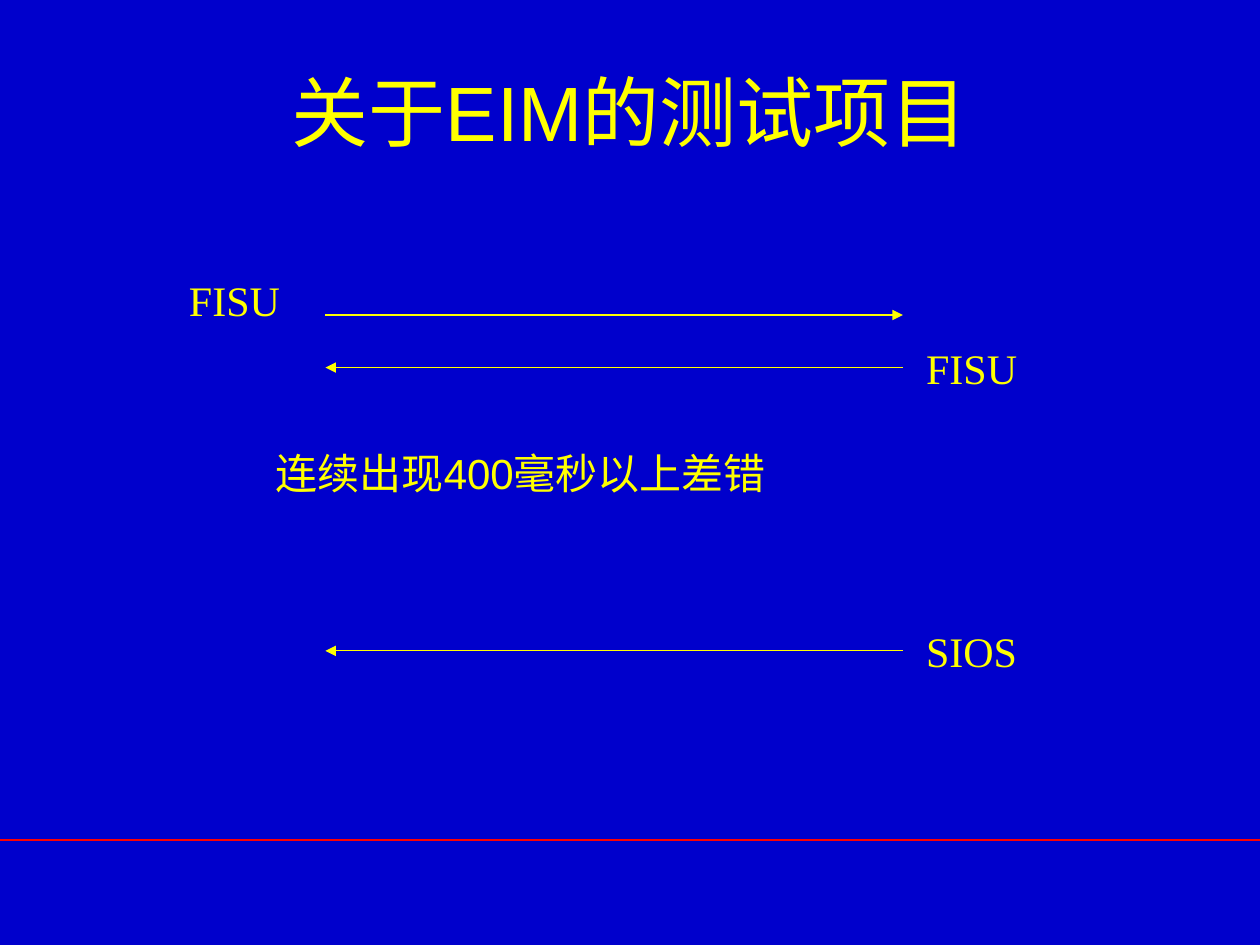
from typing import NamedTuple

from lxml import etree
from pptx import Presentation
from pptx.dml.color import RGBColor
from pptx.enum.shapes import MSO_CONNECTOR
from pptx.enum.text import MSO_ANCHOR, PP_ALIGN
from pptx.oxml.ns import qn
from pptx.util import Cm, Pt

STRAIGHT = MSO_CONNECTOR.STRAIGHT
MIDDLE = MSO_ANCHOR.MIDDLE
LEFT, CENTER = PP_ALIGN.LEFT, PP_ALIGN.CENTER
BLUE, YELLOW, RED = "0000CC", "FFFF00", "FF0000"
SANS, SERIF = "Arial", "Times New Roman"
WIDE, HIGH = 25.4, 19.05
NEAR, FAR = 6.56, 18.2  # ends of the signal arrows


class Line(NamedTuple):
    start: float
    end: float
    y: float
    color: str = YELLOW
    weight: float = 0.75
    arrow: bool = True


class Label(NamedTuple):
    text: str
    x: float
    y: float
    width: float = 2.6
    font: str = SERIF


def paint(color: str) -> RGBColor:
    return RGBColor.from_string(color)


def style(frame, text: str, font: str, size: float, align) -> None:
    frame.text = text
    frame.word_wrap = True
    para = frame.paragraphs[0]
    para.alignment = align
    for run in para.runs:
        run.font.name = font
        run.font.size = Pt(size)
        run.font.color.rgb = paint(color=YELLOW)


def draw_line(slide, line: Line) -> None:
    shape = slide.shapes.add_connector(
        STRAIGHT, Cm(line.start), Cm(line.y), Cm(line.end), Cm(line.y))
    shape.line.color.rgb = paint(line.color)
    shape.line.width = Pt(line.weight)
    if line.arrow:
        etree.SubElement(shape.line._get_or_add_ln(), qn("a:tailEnd"), type="triangle")
    etree.SubElement(shape._element.spPr, qn("a:effectLst"))


def draw_label(slide, label: Label) -> None:
    box = slide.shapes.add_textbox(
        Cm(label.x), Cm(label.y), Cm(label.width), Cm(1.27))
    style(box.text_frame, label.text, label.font, 24, LEFT)


LINES = [
    Line(0, WIDE, 16.94, RED, 1, False),
    Line(NEAR, FAR, 6.35),
    Line(FAR, NEAR, 7.41),
    Line(FAR, NEAR, 13.12),
]
LABELS = [
    Label("FISU", 3.56, 5.41),
    Label("FISU", 18.42, 6.78),
    Label("SIOS", 18.42, 12.49),
    Label("连续出现400毫秒以上差错", 5.31, 8.89, 13.2, SANS),
]


def main() -> None:
    deck = Presentation()
    deck.slide_width, deck.slide_height = Cm(WIDE), Cm(HIGH)
    slide = deck.slides.add_slide(deck.slide_layouts[5])
    slide.background.fill.solid()
    slide.background.fill.fore_color.rgb = paint(BLUE)

    # Title
    title = slide.shapes.title
    title.left, title.top = Cm(1.9), Cm(0.64)
    title.width, title.height = Cm(21.6), Cm(3.18)
    title.text_frame.vertical_anchor = MIDDLE
    style(title.text_frame, "关于EIM的测试项目", SANS, 44, CENTER)

    # Signal arrows and footer rule
    for line in LINES:
        draw_line(slide, line)

    # Signal names and remark
    for label in LABELS:
        draw_label(slide, label)

    deck.save("out.pptx")


if __name__ == "__main__":
    main()
